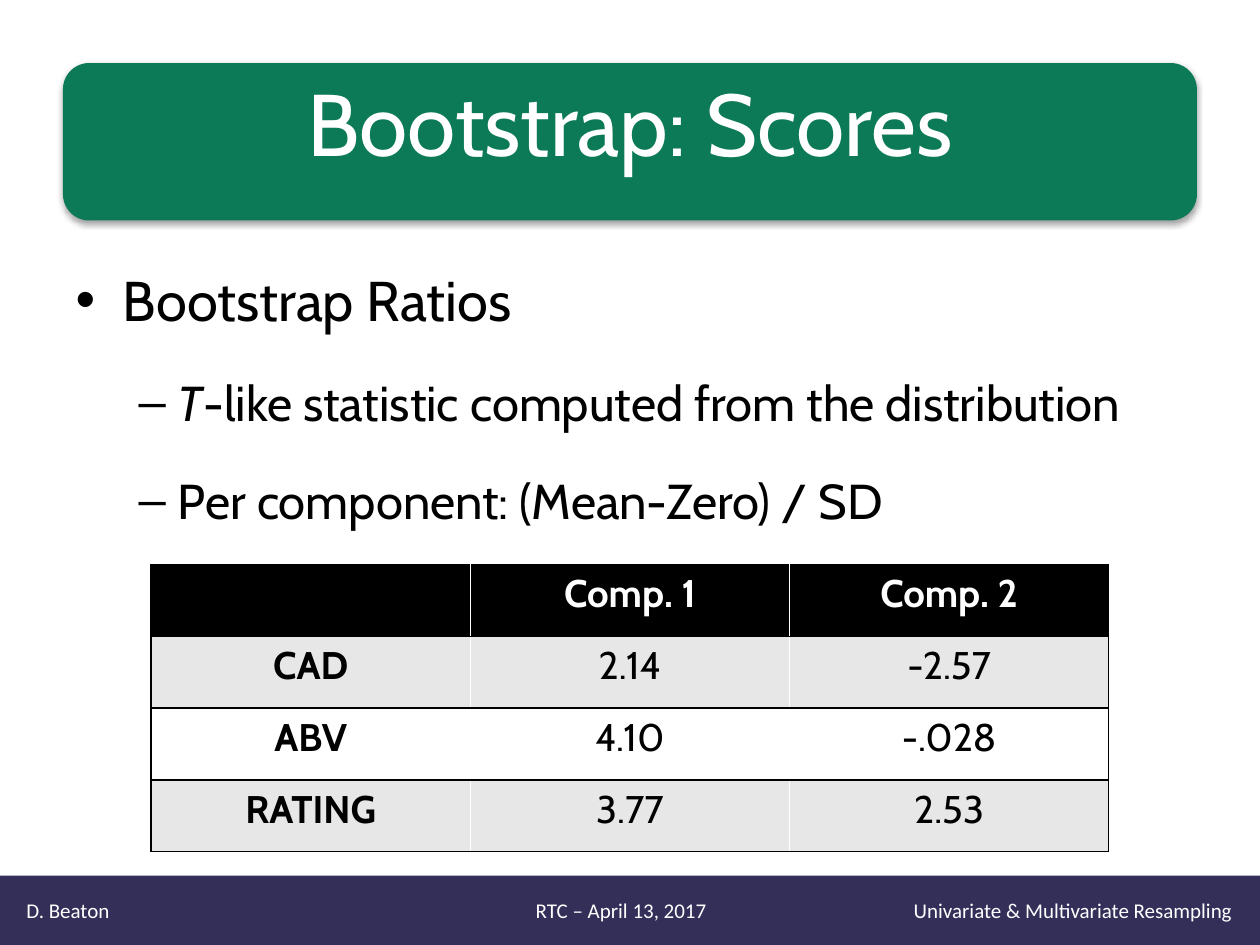
from typing import NamedTuple

from lxml import etree
from pptx import Presentation, util as u
from pptx.dml.color import RGBColor
from pptx.enum import shapes, text
from pptx.oxml import parse_xml
from pptx.oxml.ns import nsdecls, qn

WIDTH, HEIGHT = u.Inches(10), u.Inches(7.5)
GREEN, PURPLE, BLACK, WHITE, GREY = "0C7A57", "342F59", "000000", "FFFFFF", "E7E7E7"
HEADING_FONT, FOOTER_FONT = "Cabin", "Calibri"


class Box(NamedTuple):
    """Left, top, width and height as shares of the slide."""
    left: float
    top: float
    width: float
    height: float

    def lengths(self) -> tuple[int, int, int, int]:
        return (int(self.left * WIDTH), int(self.top * HEIGHT),
                int(self.width * WIDTH), int(self.height * HEIGHT))


class Span(NamedTuple):
    words: str
    italic: bool = False


class Bullet(NamedTuple):
    level: int
    size: float
    spans: list[Span]


BANNER = Box(0.05, 1 / 15, 0.9, 1 / 6)
BODY = Box(0.05, 0.2333, 0.9, 0.3387)
TABLE = Box(0.12, 0.5973, 0.76, 0.304)
FOOTER = Box(0, 0.9267, 1, 0.0733)

BULLETS = [
    Bullet(0, 32, [Span("Bootstrap Ratios")]),
    Bullet(1, 28, [Span("T", True), Span("-like statistic computed from the distribution")]),
    Bullet(1, 28, [Span("Per component: (Mean-Zero) / SD")]),
]
SCORES = [
    ["", "Comp. 1", "Comp. 2"],
    ["CAD", "2.14", "-2.57"],
    ["ABV", "4.10", "-.028"],
    ["RATING", "3.77", "2.53"],
]


def colour(value: str) -> RGBColor:
    return RGBColor.from_string(value)


def place(shape, box: Box) -> None:
    shape.left, shape.top, shape.width, shape.height = box.lengths()


def add_run(paragraph, words: str, size: float, ink: str,
            font: str = HEADING_FONT, bold: bool = False, italic: bool = False) -> None:
    run = paragraph.add_run()
    run.text = words
    run.font.name, run.font.size = font, u.Pt(size)
    run.font.bold, run.font.italic = bold, italic
    run.font.color.rgb = colour(ink)


def add_panel(slide, kind, box: Box, fill: str):
    """Add a borderless filled shape behind everything else."""
    shape = slide.shapes.add_shape(kind, *box.lengths())
    shape.shadow.inherit = False
    shape.fill.solid()
    shape.fill.fore_color.rgb = colour(fill)
    shape.line.fill.background()
    slide.shapes._spTree.insert(2, shape._element)
    return shape


def add_banner(slide) -> None:
    banner = add_panel(slide, shapes.MSO_SHAPE.ROUNDED_RECTANGLE, BANNER, GREEN)
    effects = banner._element.spPr.find(qn("a:effectLst"))
    effects.append(parse_xml(
        f'<a:outerShdw {nsdecls("a")} blurRad="{u.Pt(3.1)}" dist="{u.Pt(1.8)}" '
        f'dir="5400000" rotWithShape="0"><a:srgbClr val="{BLACK}">'
        '<a:alpha val="35000"/></a:srgbClr></a:outerShdw>'))


def add_footer(slide) -> None:
    frame = add_panel(slide, shapes.MSO_SHAPE.RECTANGLE, FOOTER, PURPLE).text_frame
    frame.margin_left = frame.margin_right = u.Inches(0.21)
    frame.vertical_anchor = text.MSO_ANCHOR.MIDDLE
    paragraph = frame.paragraphs[0]
    paragraph.alignment = text.PP_ALIGN.LEFT
    tabs = etree.SubElement(paragraph._p.get_or_add_pPr(), qn("a:tabLst"))
    for position, alignment in ((4.72, "ctr"), (9.57, "r")):
        etree.SubElement(tabs, qn("a:tab"), pos=str(u.Inches(position)), algn=alignment)
    add_run(paragraph, "D. Beaton\tRTC – April 13, 2017\tUnivariate & Multivariate Resampling",
            12, WHITE, FOOTER_FONT)


def fill_title(title) -> None:
    place(title, BANNER)
    frame = title.text_frame
    frame.auto_size = text.MSO_AUTO_SIZE.NONE
    frame.vertical_anchor = text.MSO_ANCHOR.TOP
    frame.paragraphs[0].alignment = text.PP_ALIGN.CENTER
    add_run(frame.paragraphs[0], "Bootstrap: Scores", 50, WHITE)


def fill_body(body) -> None:
    place(body, BODY)
    frame = body.text_frame
    frame.auto_size = text.MSO_AUTO_SIZE.NONE
    frame.vertical_anchor = text.MSO_ANCHOR.MIDDLE
    for index, bullet in enumerate(BULLETS):
        paragraph = frame.add_paragraph() if index else frame.paragraphs[0]
        paragraph.level = bullet.level
        paragraph.line_spacing = 1.5
        paragraph.space_before = u.Pt(0.2 * bullet.size if index else 0)
        for span in bullet.spans:
            add_run(paragraph, span.words, bullet.size, BLACK, italic=span.italic)


def add_borders(cell, sides: list[str]) -> None:
    properties = cell._tc.get_or_add_tcPr()
    for side in sides:
        properties.append(parse_xml(
            f'<a:ln{side} {nsdecls("a")} w="{u.Pt(1)}"><a:solidFill>'
            f'<a:srgbClr val="{BLACK}"/></a:solidFill></a:ln{side}>'))


def add_scores(slide) -> None:
    rows, columns = len(SCORES), len(SCORES[0])
    table = slide.shapes.add_table(rows, columns, *TABLE.lengths()).table
    for r, values in enumerate(SCORES):
        fill = BLACK if r == 0 else GREY if r % 2 else WHITE
        for c, value in enumerate(values):
            cell = table.cell(r, c)
            outer = ["L"] * (c == 0) + ["R"] * (c == columns - 1)
            add_borders(cell, outer + ["T", "B"])
            cell.fill.solid()
            cell.fill.fore_color.rgb = colour(fill)
            paragraph = cell.text_frame.paragraphs[0]
            paragraph.alignment = text.PP_ALIGN.CENTER
            if value:
                add_run(paragraph, value, 22, BLACK if r else WHITE, bold=r == 0 or c == 0)


def main() -> None:
    presentation = Presentation()
    presentation.slide_width, presentation.slide_height = WIDTH, HEIGHT
    slide = presentation.slides.add_slide(presentation.slide_layouts[1])
    add_footer(slide)
    add_banner(slide)
    fill_title(slide.shapes.title)
    fill_body(slide.placeholders[1])
    add_scores(slide)
    presentation.save("out.pptx")


if __name__ == "__main__":
    main()
